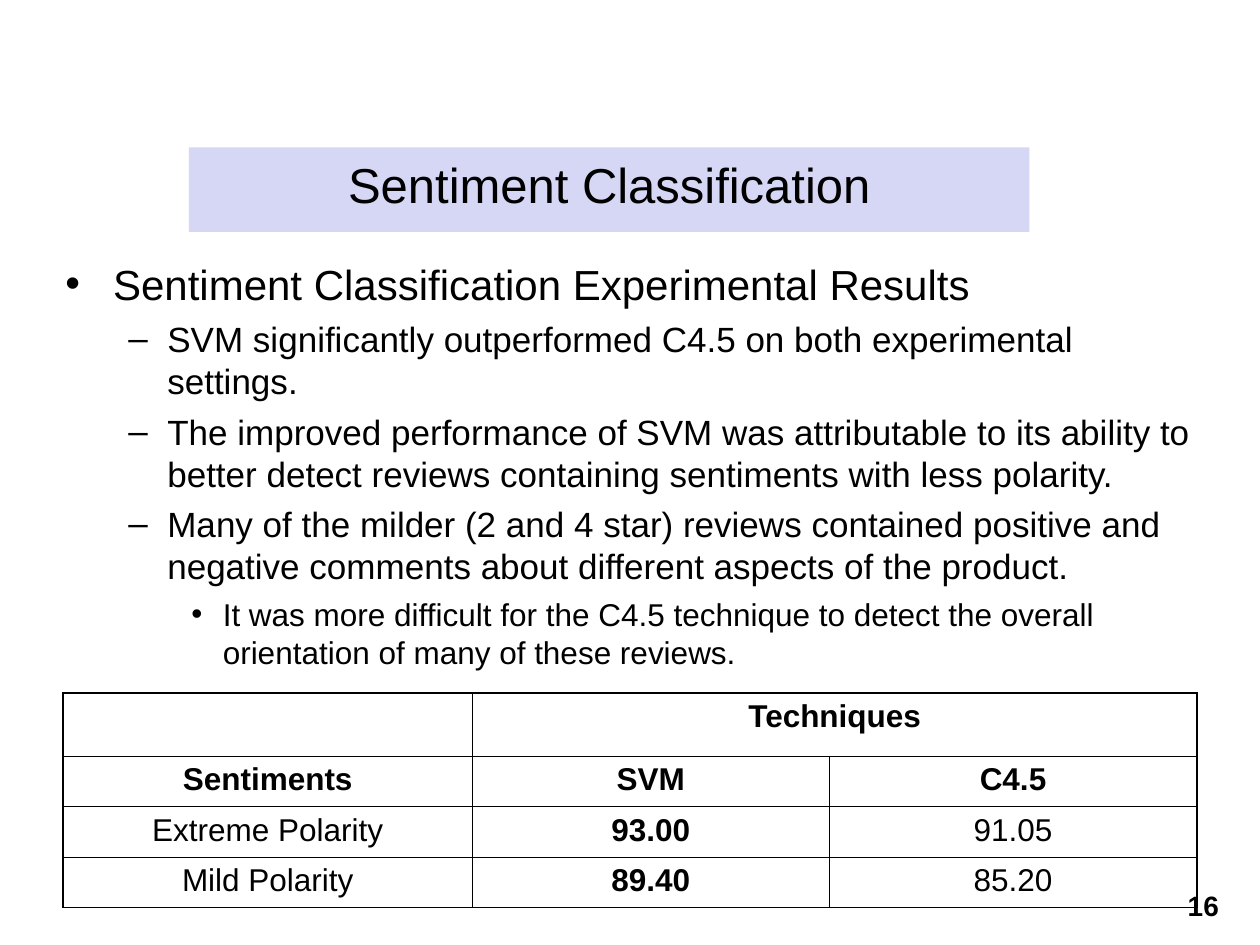
from dataclasses import dataclass
from typing import Any

from lxml import etree
from pptx import Presentation
from pptx import util as u
from pptx.dml.color import RGBColor
from pptx.enum import shapes, text
from pptx.oxml.ns import qn


@dataclass(frozen=True)
class Theme:
    face: str = "Arial"
    ink: str = "000000"
    band: str = "D6D6F5"
    title: float = 28
    levels: tuple[float, ...] = (24, 20, 18)
    cell: float = 18
    page: float = 16
    thin: float = 0.45
    thick: float = 1.08


@dataclass(frozen=True)
class Box:
    left: float
    top: float
    width: float
    height: float

    def emu(self) -> list[u.Length]:
        return [u.Inches(n) for n in (self.left, self.top, self.width, self.height)]


@dataclass(frozen=True)
class Level:
    mark: str
    left: float
    hang: float
    gap: float


@dataclass(frozen=True)
class Point:
    depth: int
    words: str


THEME = Theme()
LEVELS = (
    Level("•", 0.38, 0.38, 6),
    Level("–", 0.81, 0.31, 5),
    Level("•", 1.25, 0.25, 4.5),
)
POINTS = (
    Point(0, "Sentiment Classification Experimental Results"),
    Point(1, "SVM significantly outperformed C4.5 on both experimental settings."),
    Point(1, "The improved performance of SVM was attributable to its ability to "
             "better detect reviews containing sentiments with less polarity."),
    Point(1, "Many of the milder (2 and 4 star) reviews contained positive and "
             "negative comments about different aspects of the product."),
    Point(2, "It was more difficult for the C4.5 technique to detect the overall "
             "orientation of many of these reviews."),
)
ROWS = (
    ("", "Techniques", ""),
    ("Sentiments", "SVM", "C4.5"),
    ("Extreme Polarity", "93.00", "91.05"),
    ("Mild Polarity", "89.40", "85.20"),
)
WIDTHS = (3.25, 2.83, 2.92)
HEIGHTS = (0.5, 0.4, 0.4, 0.4)


def apply(item: Any, form: dict[str, Any]) -> None:
    for name, value in form.items():
        setattr(item, name, value)


def write(para: Any, words: str, size: float, bold: bool = False) -> None:
    run = para.add_run()
    run.text = words
    apply(run.font, {"name": THEME.face, "size": u.Pt(size), "bold": bold})
    run.font.color.rgb = RGBColor.from_string(THEME.ink)


def center(frame: Any, words: str, size: float, bold: bool = False) -> Any:
    para = frame.paragraphs[0]
    para.alignment = text.PP_ALIGN.CENTER
    write(para, words, size, bold)
    return para


def bullet(para: Any, level: Level) -> None:
    props = para._p.get_or_add_pPr()
    props.set("marL", str(u.Inches(level.left)))
    props.set("indent", str(-u.Inches(level.hang)))
    color = etree.SubElement(props, qn("a:buClr"))
    etree.SubElement(color, qn("a:srgbClr"), val=THEME.ink)
    etree.SubElement(props, qn("a:buFont"), typeface=THEME.face)
    etree.SubElement(props, qn("a:buChar"), char=level.mark)


def draw_body(slide: Any, box: Box) -> None:
    frame = slide.shapes.add_textbox(*box.emu()).text_frame
    frame.word_wrap = True
    for spot, point in enumerate(POINTS):
        para = frame.add_paragraph() if spot else frame.paragraphs[0]
        level = LEVELS[point.depth]
        bullet(para, level)
        para.level = point.depth
        if spot:
            para.space_before = u.Pt(level.gap)
        write(para, point.words, THEME.levels[point.depth])


def border(cell: Any, sides: dict[str, bool]) -> None:
    props = cell._tc.get_or_add_tcPr()
    for spot, (side, outer) in enumerate(sides.items()):
        width = u.Pt(THEME.thick if outer else THEME.thin)
        line = etree.Element(qn(f"a:ln{side}"), w=str(width))
        fill = etree.SubElement(line, qn("a:solidFill"))
        etree.SubElement(fill, qn("a:srgbClr"), val=THEME.ink)
        props.insert(spot, line)


def draw_table(slide: Any, box: Box) -> None:
    rows, cols = len(ROWS), len(WIDTHS)
    table = slide.shapes.add_table(rows, cols, *box.emu()).table
    apply(table, {"first_row": False, "horz_banding": False})
    for col, width in zip(table.columns, WIDTHS):
        col.width = u.Inches(width)
    for row, height in zip(table.rows, HEIGHTS):
        row.height = u.Inches(height)
    table.cell(0, 1).merge(table.cell(0, 2))
    for r, row in enumerate(ROWS):
        for c, words in enumerate(row):
            cell = table.cell(r, c)
            cell.fill.background()
            last = c == cols - 1 or cell.is_merge_origin
            border(cell, {"L": c == 0, "R": last, "T": r == 0, "B": r == rows - 1})
            if words:
                center(cell.text_frame, words, THEME.cell, r < 2 or c == 1)


def draw_title(slide: Any, box: Box) -> None:
    band = slide.shapes.add_shape(shapes.MSO_SHAPE.RECTANGLE, *box.emu())
    band.shadow.inherit = False
    band.fill.solid()
    band.fill.fore_color.rgb = RGBColor.from_string(THEME.band)
    band.line.fill.background()
    band.text_frame.vertical_anchor = text.MSO_ANCHOR.MIDDLE
    para = center(band.text_frame, "Sentiment Classification", THEME.title)
    para.line_spacing = 0.8


def draw_page(slide: Any, box: Box) -> None:
    frame = slide.shapes.add_textbox(*box.emu()).text_frame
    apply(frame, {"word_wrap": True, "auto_size": text.MSO_AUTO_SIZE.SHAPE_TO_FIT_TEXT})
    center(frame, "16", THEME.page, True)


def main() -> None:
    deck = Presentation()
    apply(deck, {"slide_width": u.Inches(10), "slide_height": u.Inches(7.5)})
    slide = deck.slides.add_slide(deck.slide_layouts[6])
    draw_page(slide, Box(9.25, 7, 0.6, 0.37))
    draw_body(slide, Box(0.42, 2, 9.17, 4.5))
    draw_table(slide, Box(0.5, 5.5, sum(WIDTHS), sum(HEIGHTS)))
    draw_title(slide, Box(1.5, 1.17, 6.67, 0.67))
    deck.save("out.pptx")


if __name__ == "__main__":
    main()
